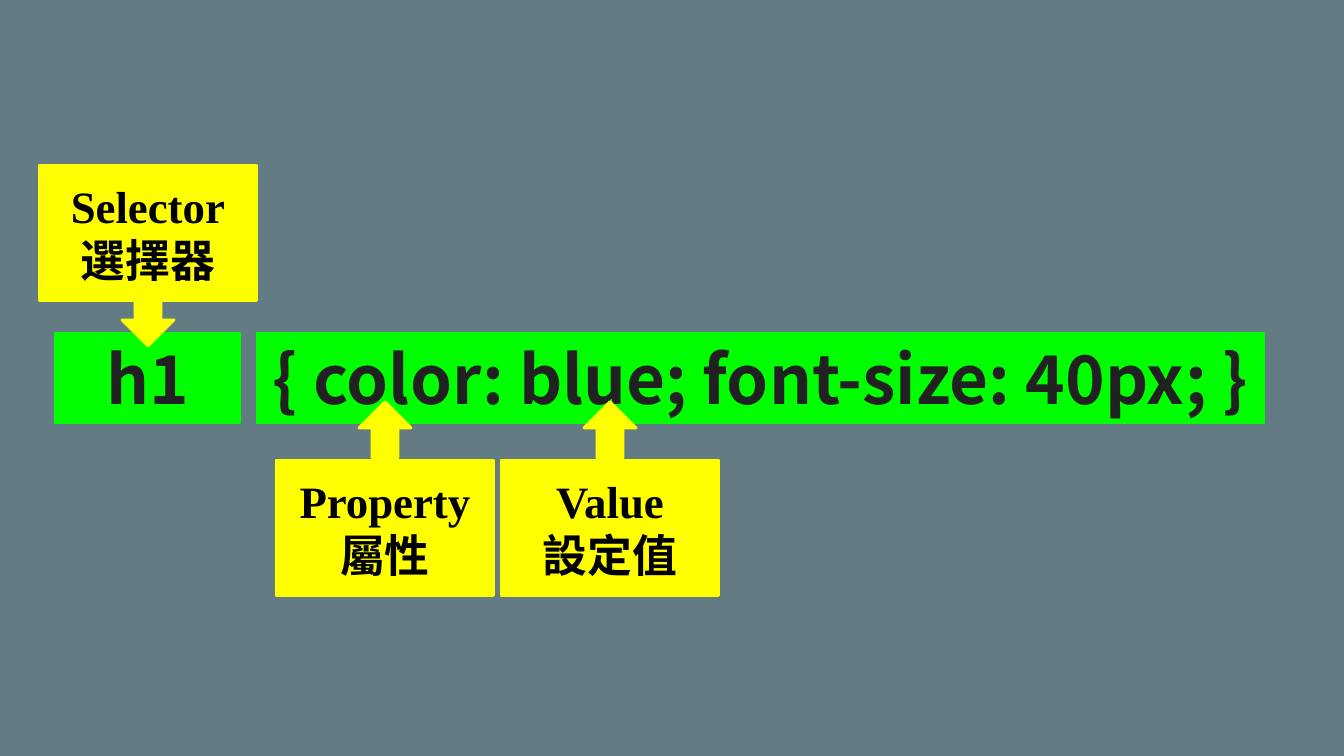
from lxml import etree
from pptx import Presentation
from pptx.dml.color import RGBColor
from pptx.enum.shapes import MSO_SHAPE
from pptx.enum.text import MSO_ANCHOR, PP_ALIGN
from pptx.oxml.ns import qn
from pptx.util import Emu, Pt

RECT = MSO_SHAPE.RECTANGLE
UP = MSO_SHAPE.UP_ARROW
DOWN = MSO_SHAPE.DOWN_ARROW
MIDDLE = MSO_ANCHOR.MIDDLE
CENTER = PP_ALIGN.CENTER


def px(n):
    """Turn pixels into EMU."""
    return Emu(round(n * 914400 / 134.4))


def rgb(value):
    """Turn a hex string into a colour."""
    return RGBColor.from_string(value)


def write(tf, text, size, font, color, bold=True, ea="Noto Sans CJK TC"):
    """Write centred lines of text into a text frame."""
    for i, line in enumerate(text.split("\n")):
        p = tf.paragraphs[0] if i == 0 else tf.add_paragraph()
        p.alignment = CENTER
        r = p.add_run()
        r.text = line
        r.font.size = Pt(size)
        r.font.name = font
        r.font.bold = bold
        r.font.color.rgb = rgb(color)
        etree.SubElement(r.font._element, qn("a:ea"), typeface=ea)


class Diagram:
    """Style and drawing methods for the rule diagram."""

    background = "637C84"
    code_fill, code_color, code_font = "00FF00", "212121", "Noto Sans CJK TC"
    note_fill, note_color, note_font = "FFFF00", "000000", "Times New Roman"
    note_w, note_h, arrow_w = 218, 136, 52

    def __init__(self, s):
        """Keep the slide and paint its background."""
        self.s = s
        s.background.fill.solid()
        s.background.fill.fore_color.rgb = rgb(self.background)

    def shape(self, kind, x, y, w, h, color):
        """Add a plain shape in one colour."""
        sp = self.s.shapes.add_shape(kind, px(x), px(y), px(w), px(h))
        sp.shadow.inherit = False
        sp.fill.solid()
        sp.fill.fore_color.rgb = rgb(color)
        sp.line.color.rgb = rgb(color)
        sp.line.width = Pt(1.5)
        return sp

    def box(self, x, y, w, h, text, fill, **style):
        """Add a filled box with centred text."""
        sp = self.shape(RECT, x, y, w, h, fill)
        tf = sp.text_frame
        tf.word_wrap = True
        tf.vertical_anchor = MIDDLE
        tf.margin_left = tf.margin_right = px(13)
        tf.margin_top = tf.margin_bottom = px(13)
        write(tf, text, **style)

    def code(self, x, w, text):
        """Add one part of the code line."""
        self.box(x, 333, w, 90, text, self.code_fill,
                 size=36, font=self.code_font, color=self.code_color)

    def note(self, x, y, text):
        """Add a yellow label."""
        self.box(x, y, self.note_w, self.note_h, text, self.note_fill,
                 size=24, font=self.note_font, color=self.note_color)

    def arrow(self, kind, note_x, y, h):
        """Add an arrow centred on a label."""
        x = note_x + (self.note_w - self.arrow_w) // 2
        self.shape(kind, x, y, self.arrow_w, h, self.note_fill)


def main():
    """Build and save the slide."""
    prs = Presentation()
    prs.slide_width, prs.slide_height = px(1344), px(756)
    d = Diagram(prs.slides.add_slide(prs.slide_layouts[6]))

    d.code(55, 185, "h1")
    d.code(257, 1007, "{ color: blue; font-size: 40px; }")

    notes = [
        (39, 165, "Selector\n選擇器", DOWN, 293, 53),
        (276, 460, "Property\n屬性", UP, 402, 56),
        (501, 460, "Value\n設定值", UP, 402, 56),
    ]
    for x, y, text, kind, arrow_y, arrow_h in notes:
        d.note(x, y, text)
        d.arrow(kind, x, arrow_y, arrow_h)

    prs.save("out.pptx")


if __name__ == "__main__":
    main()
